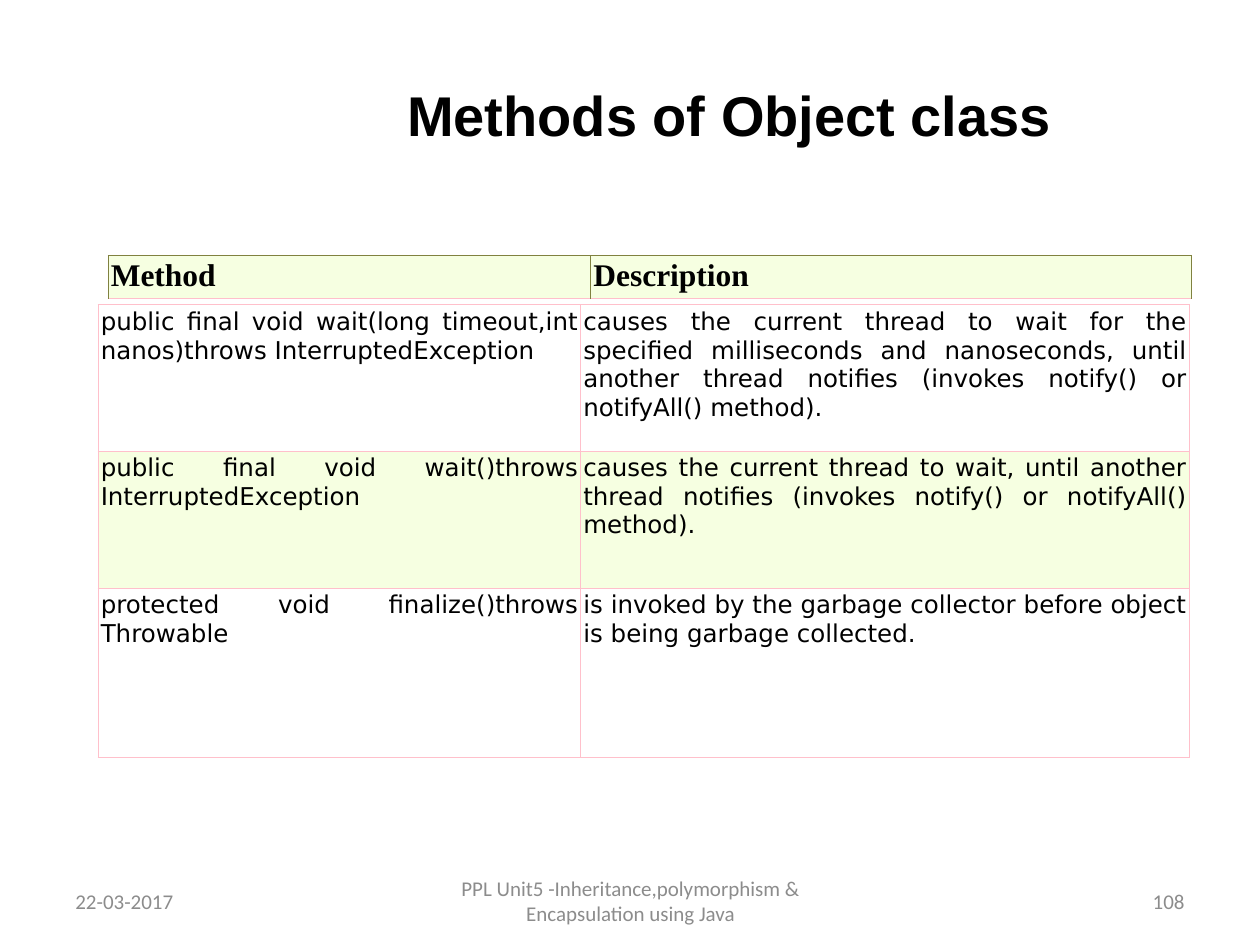
"""Build a slide with a table of Object class methods."""
from lxml import etree
from pptx import Presentation
from pptx.dml.color import RGBColor
from pptx.enum.text import MSO_ANCHOR, PP_ALIGN
from pptx.oxml.ns import qn
from pptx.util import Inches, Pt

LEFT, MID, RIGHT = PP_ALIGN.LEFT, PP_ALIGN.CENTER, PP_ALIGN.RIGHT
FULL = PP_ALIGN.JUSTIFY
CENTRE, TOP = MSO_ANCHOR.MIDDLE, MSO_ANCHOR.TOP

BLACK = RGBColor(0x00, 0x00, 0x00)
WHITE = RGBColor(0xFF, 0xFF, 0xFF)
GREY = RGBColor(0x8C, 0x8C, 0x8C)
LIME = RGBColor(0xF6, 0xFF, 0xE1)
PINK = RGBColor(0xFF, 0xC0, 0xCB)
OLIVE = RGBColor(0x80, 0x81, 0x40)

HEADS = [("Method", "Description")]
METHODS = [
    ("public final void wait(long timeout,int nanos)throws InterruptedException",
     "causes the current thread to wait for the specified milliseconds and "
     "nanoseconds, until another thread notifies (invokes notify() or "
     "notifyAll() method)."),
    ("public final void wait()throws InterruptedException",
     "causes the current thread to wait, until another thread notifies "
     "(invokes notify() or notifyAll() method)."),
    ("protected void finalize()throws Throwable",
     "is invoked by the garbage collector before object is being garbage "
     "collected."),
]
FOOTER = [
    (0.5, 2.33, "22-03-2017", LEFT),
    (3.42, 3.17, "PPL Unit5 -Inheritance,polymorphism & Encapsulation using Java",
     MID),
    (7.17, 2.33, "108", RIGHT),
]


def add_run(frame, text, align, font, size, color, bold=False):
    """Write one styled run in the first paragraph of a frame."""
    para = frame.paragraphs[0]
    para.alignment = align
    run = para.add_run()
    run.text = text
    run.font.name = font
    run.font.size = Pt(size)
    run.font.bold = bold
    run.font.color.rgb = color


def add_text(slide, box, text, align, font, size, color, bold=False):
    """Add a wrapped text box centred on its height."""
    frame = slide.shapes.add_textbox(*map(Inches, box)).text_frame
    frame.word_wrap = True
    frame.vertical_anchor = CENTRE
    add_run(frame, text, align, font, size, color, bold)


def add_edges(cell, colors):
    """Draw the left, right, top and bottom lines of a cell."""
    props = cell._tc.get_or_add_tcPr()
    for side, color in zip("LRTB", colors):
        line = etree.SubElement(props, qn(f"a:ln{side}"), w=str(Pt(0.75)))
        fill = etree.SubElement(line, qn("a:solidFill"))
        etree.SubElement(fill, qn("a:srgbClr"), val=str(color))


def add_grid(slide, spot, cols, rows, texts, fills, edges, style):
    """Add a table whose rows take their fills in turn."""
    size = sum(cols), sum(rows)
    grid = slide.shapes.add_table(
        len(rows), len(cols), *map(Inches, spot + size)).table
    for col, width in zip(grid.columns, cols):
        col.width = Inches(width)
    for i, (row, height) in enumerate(zip(grid.rows, rows)):
        row.height = Inches(height)
        for cell, text in zip(row.cells, texts[i]):
            add_edges(cell, edges)
            cell.fill.solid()
            cell.fill.fore_color.rgb = fills[i % len(fills)]
            cell.margin_left = cell.margin_right = Inches(0.02)
            cell.margin_top = cell.margin_bottom = Inches(0.02)
            cell.vertical_anchor = TOP
            add_run(cell.text_frame, text, *style)


def main():
    """Build and save the slide."""
    deck = Presentation()
    deck.slide_width, deck.slide_height = Inches(10), Inches(7.5)
    slide = deck.slides.add_slide(deck.slide_layouts[6])
    add_text(slide, (2.09, 0.28, 7.4, 1.25), "Methods of Object class",
             MID, "Arial", 32, BLACK, True)
    for left, width, text, align in FOOTER:
        add_text(slide, (left, 6.95, width, 0.4), text, align,
                 "Calibri", 12, GREY)
    add_grid(slide, (0.78, 2.42), (3.83, 4.83), (1.16, 1.09, 1.34), METHODS,
             (WHITE, LIME), [PINK] * 4, (FULL, "DejaVu Sans", 14, BLACK))
    add_grid(slide, (0.86, 2.03), (3.83, 4.77), (0.3,), HEADS, (LIME,),
             (OLIVE, OLIVE, OLIVE, PINK),
             (LEFT, "Times New Roman", 18, BLACK, True))
    deck.save("out.pptx")


if __name__ == "__main__":
    main()
